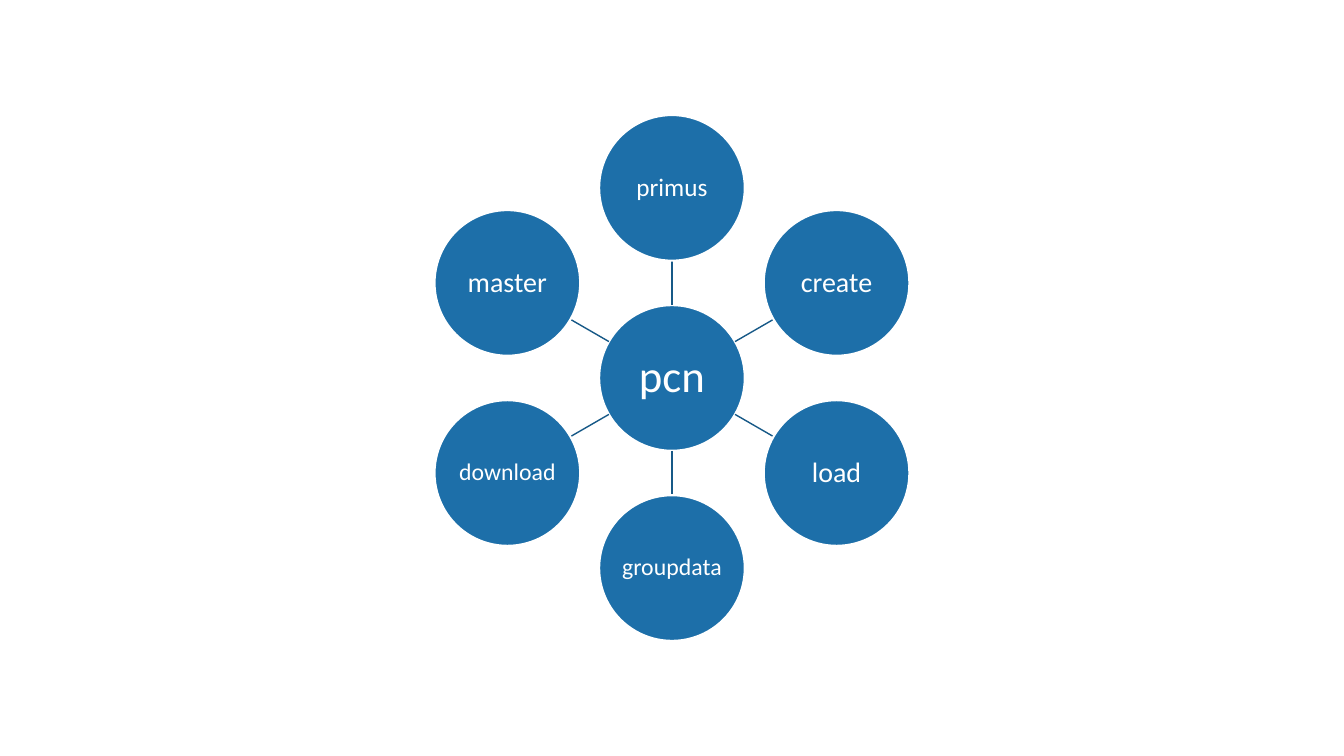
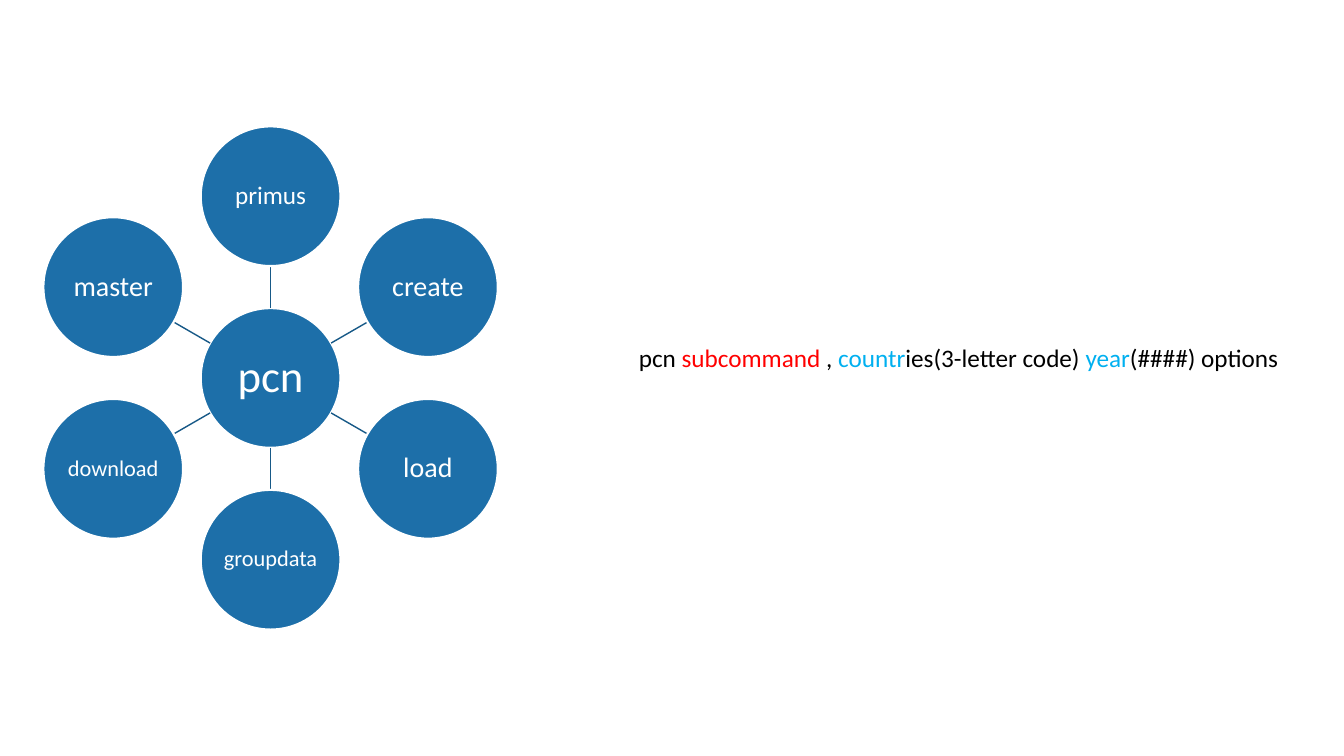
from dataclasses import dataclass
from math import cos, radians, sin

from lxml.etree import SubElement
from pptx import Presentation
from pptx.dml.color import RGBColor
from pptx.enum.shapes import MSO_CONNECTOR, MSO_SHAPE
from pptx.enum.text import MSO_ANCHOR, PP_ALIGN
from pptx.oxml.ns import qn
from pptx.util import Cm, Pt


@dataclass(frozen=True)
class Theme:
    font: str = "Calibri"
    circle: str = "1D6FA9"
    spoke: str = "175987"
    white: str = "FFFFFF"
    black: str = "000000"
    red: str = "FF0000"
    cyan: str = "00B0F0"
    hub_size: int = 32
    body_size: int = 18
    outline: float = 1.5
    spoke_width: float = 1


THEME = Theme()
WIDTH, HEIGHT = 33.87, 19.05


def write(tf, runs, size=THEME.body_size, color=THEME.black, align=PP_ALIGN.LEFT,
          anchor=MSO_ANCHOR.TOP, spacing=1.0, inset=None, wrap=True):
    tf.word_wrap = wrap
    tf.vertical_anchor = anchor
    if inset is not None:
        tf.margin_left = tf.margin_right = tf.margin_top = tf.margin_bottom = Cm(inset)
    p = tf.paragraphs[0]
    p.alignment = align
    p.line_spacing = spacing
    for text, run_color in [(runs, color)] if isinstance(runs, str) else runs:
        r = p.add_run()
        r.text = text
        r.font.name = THEME.font
        r.font.size = Pt(size)
        r.font.color.rgb = RGBColor.from_string(run_color)


class Deck:
    def __init__(self, theme):
        self.theme = theme
        self.prs = Presentation()
        self.prs.slide_width, self.prs.slide_height = Cm(WIDTH), Cm(HEIGHT)
        self.s = None

    def slide(self):
        self.s = self.prs.slides.add_slide(self.prs.slide_layouts[6])

    def circle(self, x, y, diameter, text, size):
        sp = self.s.shapes.add_shape(MSO_SHAPE.OVAL, Cm(x - diameter / 2), Cm(y - diameter / 2),
                                     Cm(diameter), Cm(diameter))
        sp.shadow.inherit = False
        sp.fill.solid()
        sp.fill.fore_color.rgb = RGBColor.from_string(self.theme.circle)
        sp.line.color.rgb = RGBColor.from_string(self.theme.white)
        sp.line.width = Pt(self.theme.outline)
        write(sp.text_frame, text, size=size, color=self.theme.white, align=PP_ALIGN.CENTER,
              anchor=MSO_ANCHOR.MIDDLE, spacing=0.9, inset=0.03, wrap=False)

    def line(self, x1, y1, x2, y2):
        cxn = self.s.shapes.add_connector(MSO_CONNECTOR.STRAIGHT, Cm(x1), Cm(y1), Cm(x2), Cm(y2))
        cxn.line.color.rgb = RGBColor.from_string(self.theme.spoke)
        cxn.line.width = Pt(self.theme.spoke_width)
        SubElement(cxn._element.spPr, qn("a:effectLst"))

    def text(self, x, y, w, h, runs, **fmt):
        box = self.s.shapes.add_textbox(Cm(x), Cm(y), Cm(w), Cm(h))
        write(box.text_frame, runs, **fmt)

    def wheel(self, x, y, diameter, orbit, hub, spokes):
        self.circle(x, y, diameter, hub, self.theme.hub_size)
        for i, (label, size) in enumerate(spokes):
            angle = radians(360 / len(spokes) * i - 90)
            dx, dy = cos(angle), sin(angle)
            start, end = diameter / 2, orbit - diameter / 2
            self.line(x + start * dx, y + start * dy, x + end * dx, y + end * dy)
            self.circle(x + orbit * dx, y + orbit * dy, diameter, label, size)


def subcommands(long_size):
    return [("primus", 18), ("create", 20), ("load", 20),
            ("groupdata", long_size), ("download", long_size), ("master", 20)]


def main():
    deck = Deck(THEME)

    deck.slide()
    deck.wheel(WIDTH / 2, HEIGHT / 2, 3.67, 4.79, "pcn", subcommands(17))

    deck.slide()
    deck.text(15.85, 8.5, 17, 1.03, [
        ("pcn ", THEME.black), ("subcommand", THEME.red), (" , ", THEME.black),
        ("countr", THEME.cyan), ("ies(3-letter code) ", THEME.black),
        ("year", THEME.cyan), ("(####) options", THEME.black),
    ])
    deck.wheel(6.82, HEIGHT / 2, 3.52, 4.58, "pcn", subcommands(16))

    deck.prs.save("out.pptx")


if __name__ == "__main__":
    main()
